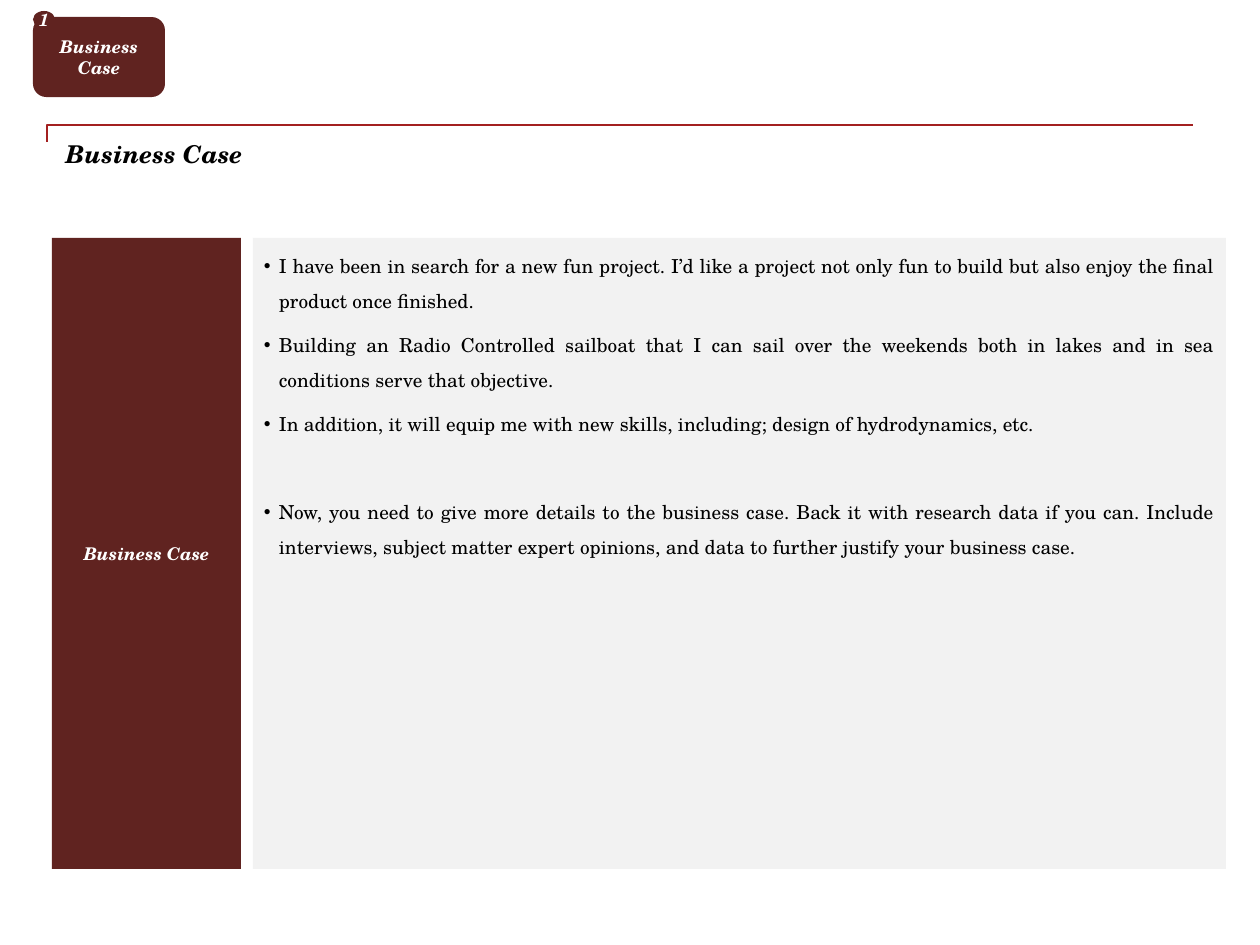
from dataclasses import dataclass

from lxml import etree
from pptx import Presentation
from pptx import util as u
from pptx.dml.color import RGBColor
from pptx.enum import shapes, text
from pptx.oxml import ns

PX_PER_INCH = 126


@dataclass(frozen=True)
class Theme:
    font: str = "TeX Gyre Schola"
    maroon: str = "602320"
    red: str = "A32020"
    panel: str = "F2F2F2"
    white: str = "FFFFFF"
    black: str = "000000"
    title_size: int = 14
    body_size: int = 11
    label_size: int = 10


THEME = Theme()
HEADING = "Business Case"
BULLET_INDENT = 15
BULLET_GAP = 5.4
SECTION_GAP = 30.5
BULLETS = [
    ("I have been in search for a new fun project. I’d like a project not only fun "
     "to build but also enjoy the final product once finished. ", BULLET_GAP),
    ("Building an Radio Controlled sailboat that I can sail over the weekends both "
     "in lakes and in sea conditions serve that objective. ", BULLET_GAP),
    ("In addition, it will equip me with new skills, including; design of "
     "hydrodynamics, etc. ", BULLET_GAP),
    ("Now, you need to give more details to the business case. Back it with research "
     "data if you can. Include interviews, subject matter expert opinions, and data "
     "to further justify your business case. ", SECTION_GAP),
]


def px(length):
    return u.Emu(round(length * u.Inches(1) / PX_PER_INCH))


def add_run(paragraph, words, size, color, emphasis=False):
    run = paragraph.add_run()
    run.text = words
    run.font.name = THEME.font
    run.font.size = u.Pt(size)
    run.font.bold = run.font.italic = emphasis
    run.font.color.rgb = RGBColor.from_string(color)


def set_frame(frame, horizontal, vertical, anchor, wrap=True):
    frame.margin_left = frame.margin_right = px(horizontal)
    frame.margin_top = frame.margin_bottom = px(vertical)
    frame.vertical_anchor = anchor
    frame.word_wrap = wrap


def set_text(shape, words, size=THEME.label_size, color=THEME.white,
             align=text.PP_ALIGN.CENTER, anchor=text.MSO_ANCHOR.MIDDLE,
             insets=(10, 5), wrap=True):
    set_frame(shape.text_frame, *insets, anchor, wrap)
    paragraph = shape.text_frame.paragraphs[0]
    paragraph.alignment = align
    add_run(paragraph, words, size, color, emphasis=True)


def add_block(slide, kind, box, fill):
    shape = slide.shapes.add_shape(kind, *map(px, box))
    shape.shadow.inherit = False
    shape.fill.solid()
    shape.fill.fore_color.rgb = RGBColor.from_string(fill)
    shape.line.fill.background()
    return shape


def add_label(slide, kind, box, words, wrap=True):
    set_text(add_block(slide, kind, box, THEME.maroon), words, wrap=wrap)


def add_title(slide, box, words):
    title = slide.shapes.add_textbox(*map(px, box))
    set_text(title, words, size=THEME.title_size, color=THEME.black,
             align=text.PP_ALIGN.LEFT, anchor=text.MSO_ANCHOR.TOP, insets=(0, 0))


def add_bullet(paragraph, words, gap):
    paragraph.alignment = text.PP_ALIGN.JUSTIFY
    paragraph.line_spacing = 1.5
    paragraph.space_before = u.Pt(gap)
    properties = paragraph._p.get_or_add_pPr()
    properties.set("marL", str(px(BULLET_INDENT)))
    properties.set("indent", str(-px(BULLET_INDENT)))
    etree.SubElement(properties, ns.qn("a:buFont"), typeface="Arial")
    etree.SubElement(properties, ns.qn("a:buChar"), char="•")
    add_run(paragraph, words, THEME.body_size, THEME.black)


def add_bullet_panel(slide, box, bullets):
    panel = add_block(slide, shapes.MSO_SHAPE.RECTANGLE, box, THEME.panel)
    frame = panel.text_frame
    set_frame(frame, 11, 5, text.MSO_ANCHOR.TOP)
    for index, (words, gap) in enumerate(bullets):
        paragraph = frame.add_paragraph() if index else frame.paragraphs[0]
        add_bullet(paragraph, words, gap)


def add_header_rule(slide, start, end):
    rule = slide.shapes.add_connector(
        shapes.MSO_CONNECTOR.ELBOW, *map(px, start + end))
    rule.line.color.rgb = RGBColor.from_string(THEME.red)
    rule.line.width = u.Pt(0.75)
    properties = rule._element.spPr
    etree.SubElement(properties, ns.qn("a:effectLst"))
    adjustments = properties.find(ns.qn("a:prstGeom")).get_or_add_avLst()
    etree.SubElement(adjustments, ns.qn("a:gd"), name="adj1", fmla="val 0")


def main():
    presentation = Presentation()
    presentation.slide_width = px(1260)
    presentation.slide_height = px(945)
    slide = presentation.slides.add_slide(presentation.slide_layouts[6])

    preset = shapes.MSO_SHAPE
    panel_top, panel_height = 238, 631
    add_header_rule(slide, (47, 142), (1193, 125))
    add_label(slide, preset.RECTANGLE, (52, panel_top, 189, panel_height), HEADING)
    add_label(slide, preset.ROUNDED_RECTANGLE, (33, 17, 132, 80), HEADING)
    add_label(slide, preset.OVAL, (33, 11, 22, 17), "1", wrap=False)
    add_bullet_panel(slide, (253, panel_top, 973, panel_height), BULLETS)
    add_title(slide, (66, 139, 1128, 111), HEADING)

    presentation.save("out.pptx")


if __name__ == "__main__":
    main()
